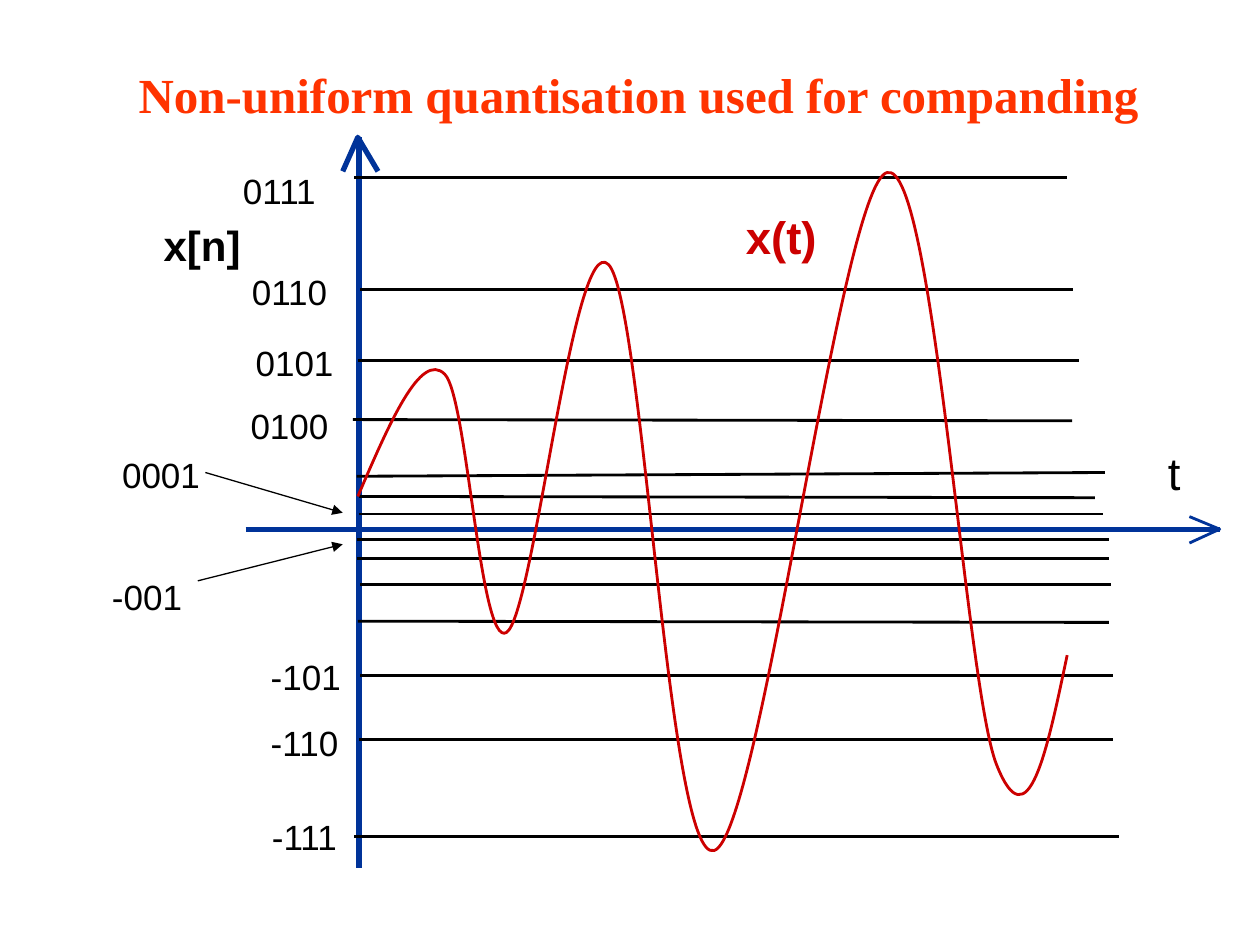
from lxml.etree import SubElement
from pptx import Presentation
from pptx.dml.color import RGBColor
from pptx.enum.shapes import MSO_CONNECTOR as CONNECTOR
from pptx.enum.text import MSO_ANCHOR as ANCHOR, MSO_AUTO_SIZE as AUTO_SIZE, PP_ALIGN as ALIGN
from pptx.oxml.ns import qn
from pptx.util import Pt

SCALE = 9144  # EMU per px: 100 px to the inch
AXIS_BLUE, SIGNAL_RED, TITLE_RED, BLACK = "003399", "CC0000", "FF3300", "000000"
THIN, MEDIUM, THICK = 0.75, 1.62, 3


def paint(color_format, color):
    color_format.rgb = RGBColor.from_string(color)


class SlideBuilder:
    def __init__(self, deck, width, height):
        deck.slide_width, deck.slide_height = width * SCALE, height * SCALE
        self.slide = deck.slides.add_slide(deck.slide_layouts[5])
        self.shapes = self.slide.shapes

    def set_text(self, box, text, size, color, bold, font, inset):
        """Fill a text shape with one left-aligned, top-anchored line."""
        frame = box.text_frame
        frame.auto_size = AUTO_SIZE.NONE
        frame.word_wrap = inset > 0
        frame.vertical_anchor = ANCHOR.TOP
        frame.margin_left = frame.margin_right = inset * SCALE
        frame.margin_top = frame.margin_bottom = inset * SCALE // 2
        frame.text = text
        para = frame.paragraphs[0]
        para.alignment = ALIGN.LEFT
        span = para.runs[0].font
        span.name, span.size, span.bold = font, Pt(size), bold
        paint(span.color, color)

    def title(self, text, left, top, width, height):
        box = self.shapes.title
        box.left, box.top = left * SCALE, top * SCALE
        box.width, box.height = width * SCALE, height * SCALE
        self.set_text(box, text, 28, TITLE_RED, True, "Times New Roman", 10)

    def label(self, text, left, top, width, height, size=20, color=BLACK, bold=False, inset=10):
        box = self.shapes.add_textbox(*(px * SCALE for px in (left, top, width, height)))
        self.set_text(box, text, size, color, bold, "Arial", inset)

    def line(self, x1, y1, x2, y2, color=BLACK, weight=MEDIUM, arrow=False):
        ends = (px * SCALE for px in (x1, y1, x2, y2))
        connector = self.shapes.add_connector(CONNECTOR.STRAIGHT, *ends)
        paint(connector.line.color, color)
        connector.line.width = Pt(weight)
        properties = connector._element.spPr
        if arrow:
            SubElement(properties.find(qn("a:ln")), qn("a:tailEnd"), type="triangle")
        SubElement(properties, qn("a:effectLst"))

    def outline(self, points, color, weight):
        """Draw an open, unfilled path through the points."""
        builder = self.shapes.build_freeform(*points[0], scale=SCALE)
        builder.add_line_segments(points[1:], close=False)
        shape = builder.convert_to_shape()
        shape.fill.background()
        paint(shape.line.color, color)
        shape.line.width = Pt(weight)
        shape.shadow.inherit = False
        return shape

    def curve(self, points, color, weight):
        """Draw cubic Béziers: a start, then two controls and an end for each piece."""
        shape = self.outline(points, color, weight)
        geometry = shape._element.spPr.find(qn("a:custGeom"))
        route = geometry.find(qn("a:pathLst"))[0]
        segments = route.findall(qn("a:lnTo"))
        for start in range(0, len(segments), 3):
            piece = SubElement(route, qn("a:cubicBezTo"))
            for segment in segments[start:start + 3]:
                piece.append(segment[0])
                route.remove(segment)


# Quantisation levels: left, left height, right, right height
LEVELS = [
    (281, 141, 847, 141), (286, 230, 852, 230), (284, 286, 856, 286),
    (280, 333, 851, 334), (283, 378, 877, 375), (285, 394, 869, 395),
    (285, 408, 875, 408), (283, 428, 880, 428), (283, 443, 880, 443),
    (286, 464, 882, 464), (284, 493, 880, 494), (286, 536, 883, 536),
    (285, 587, 883, 587), (281, 664, 888, 664),
]
SIGNAL = [
    (284, 394),
    (309, 336), (334, 278), (353, 297),
    (371, 315), (381, 515), (402, 502),
    (424, 488), (455, 181), (483, 210),
    (511, 239), (530, 688), (567, 675),
    (604, 662), (667, 147), (704, 137),
    (741, 126), (766, 544), (791, 607),
    (816, 670), (831, 596), (847, 520),
]
CODES = [
    ("0111", 183, 130, 92), ("0110", 190, 210, 102), ("0101", 193, 266, 95),
    ("0100", 189, 316, 86), ("0001", 87, 355, 112), ("-001", 79, 452, 87),
    ("-101", 205, 515, 127), ("-110", 205, 568, 111), ("-111", 206, 642, 104),
]


def main():
    deck = Presentation()
    page = SlideBuilder(deck, 1000, 750)
    page.title("Non-uniform quantisation used for companding", 100, 46, 850, 57)

    page.line(285, 109, 285, 689, AXIS_BLUE, THICK)
    page.outline([(300, 136), (284, 109), (272, 136)], AXIS_BLUE, THICK)
    page.line(195, 420, 968, 420, AXIS_BLUE, THICK)
    page.outline([(944, 431), (968, 420), (944, 410)], AXIS_BLUE, MEDIUM)

    for level in LEVELS:
        page.line(*level)
    page.curve(SIGNAL, SIGNAL_RED, MEDIUM)

    page.line(163, 375, 272, 407, weight=THIN, arrow=True)
    page.line(157, 461, 272, 432, weight=THIN, arrow=True)

    for code, left, top, width in CODES:
        page.label(code, left, top, width, 44)
    page.label("x[n]", 120, 169, 136, 50, size=24, bold=True)
    page.label("x(t)", 592, 166, 56, 43, size=26, color=SIGNAL_RED, bold=True, inset=0)
    page.label("t", 927, 353, 10, 43, size=26, inset=0)

    deck.save("out.pptx")


if __name__ == "__main__":
    main()
